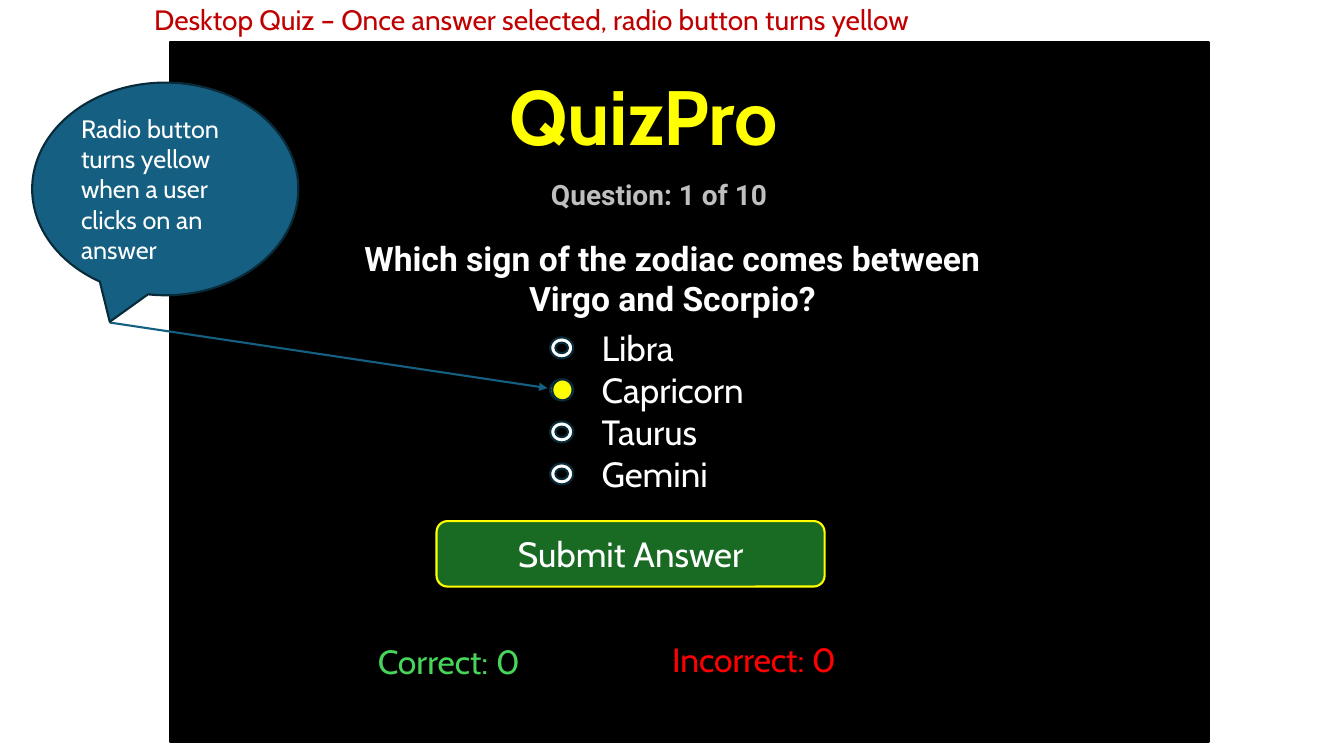
from dataclasses import dataclass

from lxml.etree import SubElement
from pptx import Presentation
from pptx.dml.color import RGBColor
from pptx.enum.shapes import MSO_CONNECTOR, MSO_SHAPE
from pptx.enum.text import MSO_ANCHOR, PP_ALIGN
from pptx.oxml.ns import qn
from pptx.shapes.autoshape import Shape
from pptx.slide import Slide
from pptx.util import Pt

COLORS = {
    "black": "000000",
    "white": "FFFFFF",
    "yellow": "FFFF00",
    "caption red": "C00000",
    "gray": "BFBFBF",
    "button green": "196B24",
    "correct green": "47D45A",
    "incorrect red": "FF0000",
    "teal": "156082",
    "outline": "092A39",
}
ANSWERS = ["Libra", "Capricorn", "Taurus", "Gemini"]
SELECTED_ANSWER = "Capricorn"
RADIO_LEFT, RADIO_TOP, RADIO_PITCH = 393, 241, 30
LINE_WIDTH = 1.5


@dataclass(frozen=True)
class Box:
    """A position and size in points."""

    left: float
    top: float
    width: float
    height: float

    def lengths(self) -> tuple[Pt, Pt, Pt, Pt]:
        return Pt(self.left), Pt(self.top), Pt(self.width), Pt(self.height)


@dataclass(frozen=True)
class Label:
    """A text box holding one or more lines in a single format."""

    box: Box
    lines: list[str]
    size: float
    color: str
    font: str = "Cabin"
    bold: bool = False
    align: PP_ALIGN = PP_ALIGN.LEFT


LABELS = [
    Label(Box(103, -2, 778, 32),
          ["Desktop Quiz – Once answer selected, radio button turns yellow"],
          20, "caption red"),
    Label(Box(237.6, 166.3, 485.3, 65.5),
          ["Which sign of the zodiac comes between Virgo and Scorpio?"],
          24, "white", "Roboto", True, PP_ALIGN.CENTER),
    Label(Box(422.6, 229.7, 243.4, 128), ANSWERS, 25, "white"),
    Label(Box(262.8, 454.3, 129.6, 36), ["Correct: 0"], 24, "correct green"),
    Label(Box(473, 452.9, 168.5, 36), ["Incorrect: 0"], 24, "incorrect red"),
]


def rgb(color: str) -> RGBColor:
    return RGBColor.from_string(COLORS[color])


def write_text(shape: Shape, lines: list[str], *, size: float, color: str,
               font: str = "Cabin", bold: bool = False,
               align: PP_ALIGN = PP_ALIGN.LEFT,
               anchor: MSO_ANCHOR = MSO_ANCHOR.TOP) -> None:
    frame = shape.text_frame
    frame.word_wrap = True
    frame.vertical_anchor = anchor
    for index, line in enumerate(lines):
        paragraph = frame.add_paragraph() if index else frame.paragraphs[0]
        paragraph.alignment = align
        run = paragraph.add_run()
        run.text = line
        run.font.name = font
        run.font.size = Pt(size)
        run.font.bold = bold
        run.font.color.rgb = rgb(color)


def add_filled_shape(slide: Slide, kind: MSO_SHAPE, box: Box, fill: str,
                     line: str | None = None) -> Shape:
    shape = slide.shapes.add_shape(kind, *box.lengths())
    shape.shadow.inherit = False
    shape.fill.solid()
    shape.fill.fore_color.rgb = rgb(fill)
    if line is None:
        shape.line.fill.background()
    else:
        shape.line.color.rgb = rgb(line)
        shape.line.width = Pt(LINE_WIDTH)
    return shape


def add_label(slide: Slide, label: Label) -> None:
    text_box = slide.shapes.add_textbox(*label.box.lengths())
    write_text(text_box, label.lines, size=label.size, color=label.color,
               font=label.font, bold=label.bold, align=label.align)


def add_quiz_screen(slide: Slide) -> None:
    add_filled_shape(slide, MSO_SHAPE.RECTANGLE,
                     Box(121.7, 30.2, 741.6, 499.7), "black", "black")
    title = add_filled_shape(slide, MSO_SHAPE.RECTANGLE,
                             Box(308.9, 45.4, 284.4, 74.2), "black")
    title.text_frame.margin_left = Pt(55)
    write_text(title, ["QuizPro"], size=55, color="yellow", bold=True)
    progress = add_filled_shape(slide, MSO_SHAPE.RECTANGLE,
                                Box(300.2, 123.1, 341.3, 31.7), "black")
    write_text(progress, ["Question: 1 of 10"], size=20, color="gray",
               font="Roboto", bold=True, align=PP_ALIGN.CENTER)
    button = add_filled_shape(slide, MSO_SHAPE.ROUNDED_RECTANGLE,
                              Box(311.8, 372.2, 277.2, 46.8),
                              "button green", "yellow")
    write_text(button, ["Submit Answer"], size=25, color="white",
               align=PP_ALIGN.CENTER, anchor=MSO_ANCHOR.MIDDLE)


def add_radio_buttons(slide: Slide) -> None:
    for index, answer in enumerate(ANSWERS):
        top = RADIO_TOP + index * RADIO_PITCH
        add_filled_shape(slide, MSO_SHAPE.DONUT,
                         Box(RADIO_LEFT, top, 16.5, 15), "white", "outline")
        if answer == SELECTED_ANSWER:
            add_filled_shape(slide, MSO_SHAPE.OVAL,
                             Box(RADIO_LEFT + 1.5, top, 14.5, 15),
                             "yellow", "outline")


def add_callout(slide: Slide) -> None:
    """Add the explanatory bubble and its arrow to the selected answer."""
    arrow = slide.shapes.add_connector(
        MSO_CONNECTOR.STRAIGHT, Pt(78.5), Pt(230.4), Pt(391), Pt(277.2))
    arrow.line.color.rgb = rgb("teal")
    arrow.line.width = Pt(LINE_WIDTH)
    SubElement(arrow.line._get_or_add_ln(), qn("a:tailEnd"), type="triangle")
    SubElement(arrow._element.spPr, qn("a:effectLst"))
    bubble = add_filled_shape(slide, MSO_SHAPE.OVAL_CALLOUT,
                              Box(23, 59, 190.1, 151.9), "teal", "outline")
    write_text(bubble,
               ["Radio button turns yellow when a user clicks on an answer"],
               size=18, color="white", anchor=MSO_ANCHOR.MIDDLE)


def main() -> None:
    presentation = Presentation()
    presentation.slide_width, presentation.slide_height = Pt(960), Pt(540)
    slide = presentation.slides.add_slide(presentation.slide_layouts[6])
    add_quiz_screen(slide)
    for label in LABELS:
        add_label(slide, label)
    add_radio_buttons(slide)
    add_callout(slide)
    presentation.save("out.pptx")


if __name__ == "__main__":
    main()
